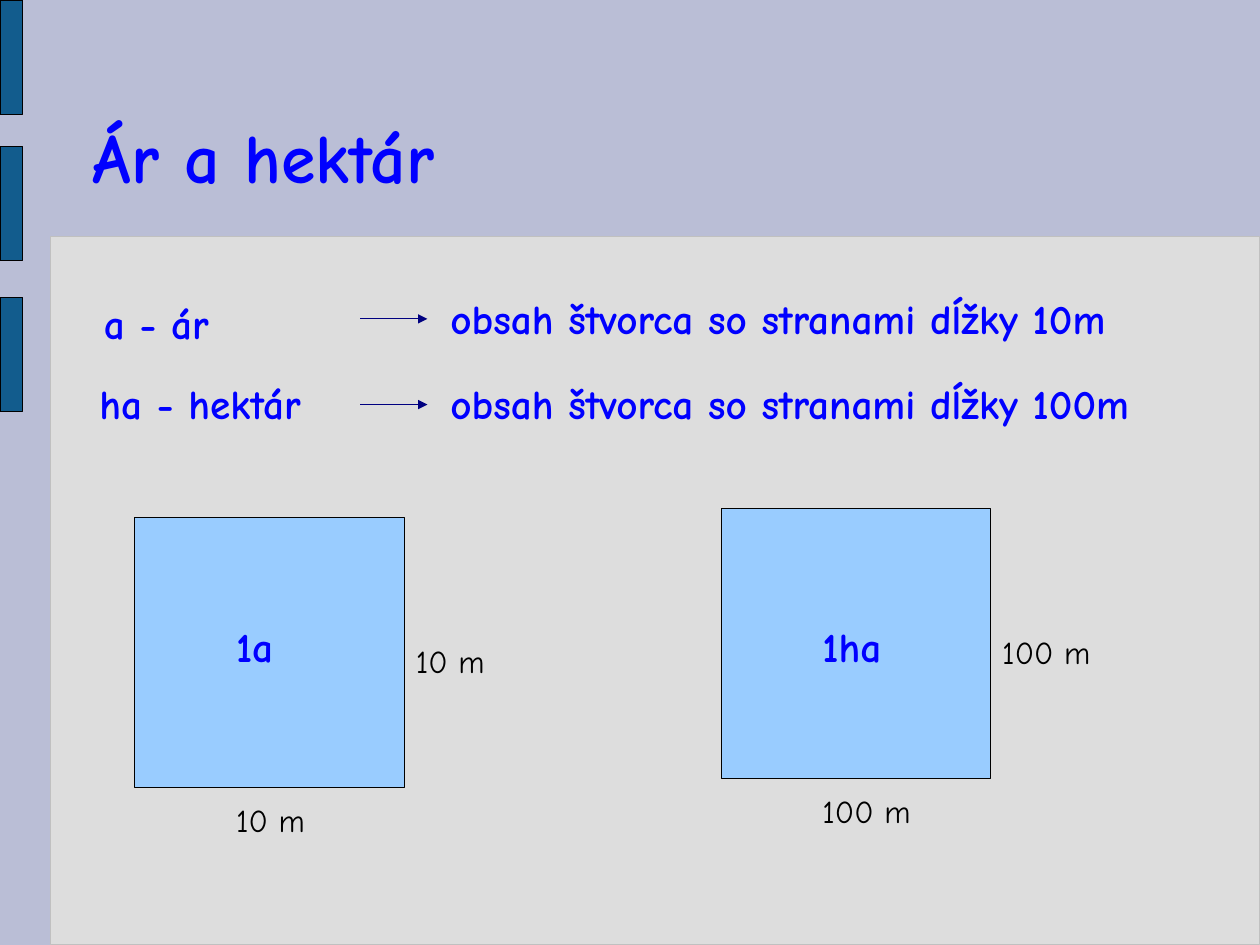
from lxml.etree import SubElement
from pptx import Presentation
from pptx.dml.color import RGBColor
from pptx.enum.shapes import MSO_CONNECTOR, MSO_SHAPE
from pptx.enum.text import MSO_ANCHOR
from pptx.oxml.ns import qn
from pptx.util import Inches, Pt

# The page measures 28 by 21 centimetres
SLIDE_WIDTH, SLIDE_HEIGHT = 28 / 2.54, 21 / 2.54
TITLE_STYLE = {"size": Pt(44), "bold": True, "color": "0000FF"}
TERM_STYLE = {"size": Pt(26), "bold": True, "color": "0000FF"}
LENGTH_STYLE = {"size": Pt(20), "bold": False, "color": "000000"}
NO_INSETS = (0, 0)
LABEL_INSETS = (0.1, 0.05)


def rgb(value):
    return RGBColor.from_string(value)


def add_text(slide, box, text, style, insets=NO_INSETS, anchor=MSO_ANCHOR.TOP):
    shape = slide.shapes.add_textbox(*map(Inches, box))
    horizontal, vertical = map(Inches, insets)
    frame_format = {
        "word_wrap": True, "vertical_anchor": anchor,
        "margin_left": horizontal, "margin_right": horizontal,
        "margin_top": vertical, "margin_bottom": vertical,
    }
    for name, value in frame_format.items():
        setattr(shape.text_frame, name, value)
    paragraph = shape.text_frame.paragraphs[0]
    paragraph.line_spacing = 1.17
    run = paragraph.add_run()
    run.text = text
    font_format = {"name": "Comic Neue", "size": style["size"], "bold": style["bold"]}
    for name, value in font_format.items():
        setattr(run.font, name, value)
    run.font.color.rgb = rgb(style["color"])


def add_rectangle(slide, box, fill, line="000000"):
    shape = slide.shapes.add_shape(MSO_SHAPE.RECTANGLE, *map(Inches, box))
    shape.shadow.inherit = False
    shape.fill.solid()
    shape.fill.fore_color.rgb = rgb(fill)
    shape.line.color.rgb = rgb(line)
    shape.line.width = Pt(0.75)


def add_arrow(slide, left, top, length):
    points = (left, top, left + length, top)
    arrow = slide.shapes.add_connector(MSO_CONNECTOR.STRAIGHT, *map(Inches, points))
    arrow.line.color.rgb = rgb("000080")
    arrow.line.width = Pt(0.75)
    SubElement(arrow.line._get_or_add_ln(), qn("a:tailEnd"), type="triangle")
    SubElement(arrow._element.spPr, qn("a:effectLst"))


def add_backdrop(slide, width, height):
    slide.background.fill.solid()
    slide.background.fill.fore_color.rgb = rgb("BABED6")
    # Content panel
    left, top = 0.44, 2.07
    add_rectangle(slide, (left, top, width - left, height - top), "DDDDDD", "C0C0C0")
    # Side bars
    for bar_top in (0, 1.28, 2.6):
        add_rectangle(slide, (0, bar_top, 0.2, 1), "125C8D")


def add_definition(slide, box, term, meaning, term_offset):
    left, top, width, height = box
    shift_right, shift_down = term_offset
    meaning_offset = 3.07
    add_text(slide, (left + shift_right, top + shift_down, 2.16, height), term, TERM_STYLE)
    add_arrow(slide, left + 2.28, top + 0.3, 0.59)
    add_text(slide, (left + meaning_offset, top, width - meaning_offset, height),
             meaning, TERM_STYLE)


def add_square(slide, box, area, side_length, area_offset):
    left, top, side, _ = box
    label_left = left + side / 3
    add_rectangle(slide, box, "99CCFF")
    # Area inside, side lengths to the right and below
    add_text(slide, (label_left, top + area_offset, 1.18, 0.6),
             area, TERM_STYLE, LABEL_INSETS)
    for label_box in ((left + side, top + 0.98, 0.98, 0.49),
                      (label_left, top + side + 0.01, 0.98, 0.49)):
        add_text(slide, label_box, side_length, LENGTH_STYLE, LABEL_INSETS)


def main():
    presentation = Presentation()
    presentation.slide_width = Inches(SLIDE_WIDTH)
    presentation.slide_height = Inches(SLIDE_HEIGHT)
    slide = presentation.slides.add_slide(presentation.slide_layouts[6])
    add_backdrop(slide, SLIDE_WIDTH, SLIDE_HEIGHT)

    # Title
    add_text(slide, (0.81, 0.61, 9.41, 1.38), "Ár a hektár", TITLE_STYLE,
             anchor=MSO_ANCHOR.MIDDLE)

    # Definitions of the two units
    add_definition(slide, (0.87, 2.49, 9.96, 0.66), "a - ár",
                   "obsah štvorca so stranami dĺžky 10m", (0.04, 0.05))
    add_definition(slide, (0.87, 3.24, 9.96, 0.66), "ha - hektár",
                   "obsah štvorca so stranami dĺžky 100m", (0, 0))

    # Squares that show the two units
    add_square(slide, (1.18, 4.53, 2.36, 2.36), "1a", "10 m", 0.78)
    add_square(slide, (6.31, 4.45, 2.36, 2.36), "1ha", "100 m", 0.86)

    presentation.save("out.pptx")


if __name__ == "__main__":
    main()
